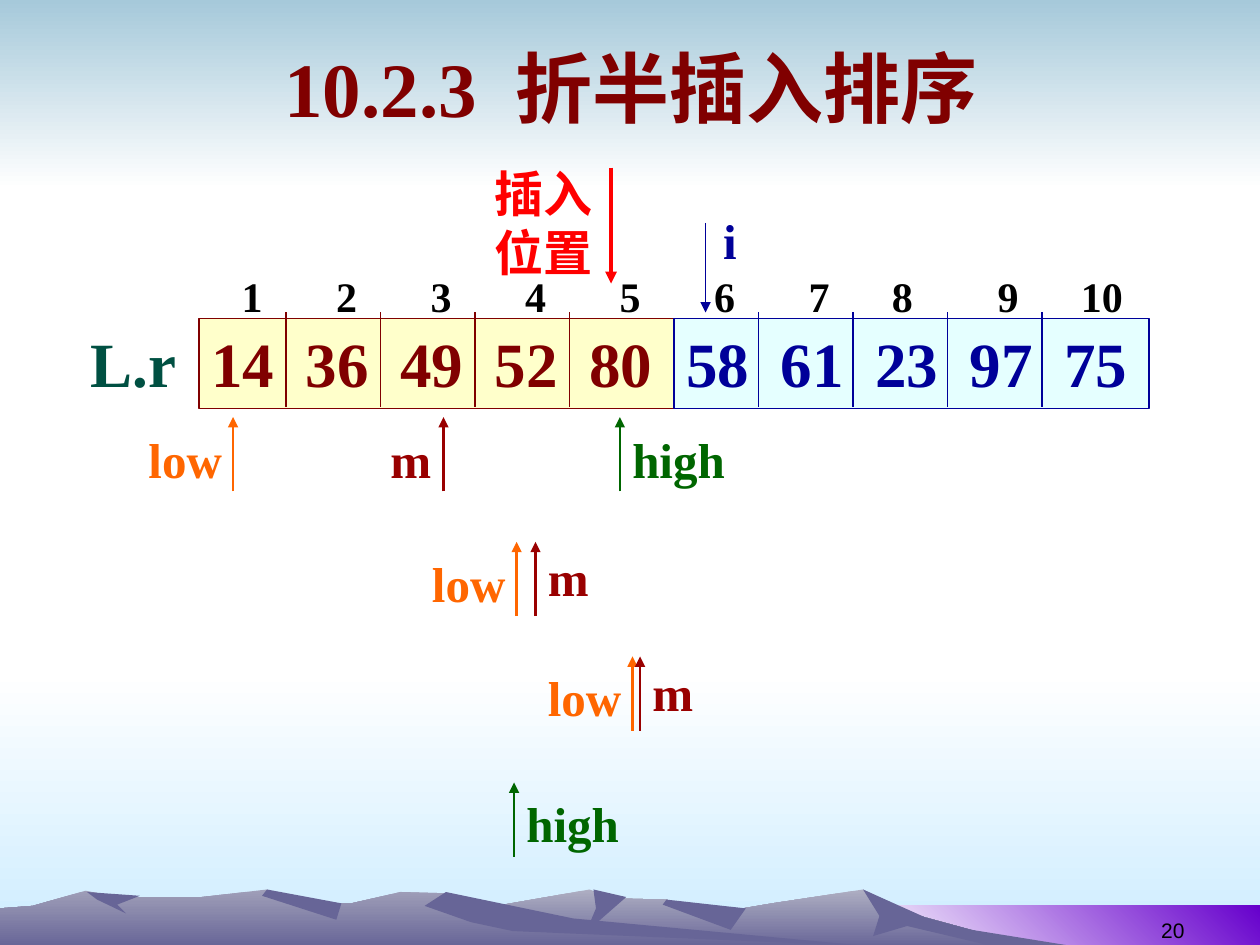
"""Build the slide that walks through binary insertion sort on a ten-element list."""
from dataclasses import dataclass

import lxml.etree
import pptx
import pptx.dml.color
import pptx.enum.shapes
import pptx.enum.text
import pptx.oxml.ns
import pptx.util

PX = 9144
SERIF = "Times New Roman"
NAVY, RED, BLACK, ROCK = "000099", "FF0000", "000000", "676597"
CELL = 75
SHAPE = pptx.enum.shapes.MSO_SHAPE
ALIGN = pptx.enum.text.PP_ALIGN
ANCHOR = pptx.enum.text.MSO_ANCHOR
qn = pptx.oxml.ns.qn


@dataclass
class Band:
    x: int
    y: int
    w: int
    h: int
    start: str
    end: str
    angle: int = 270


@dataclass
class Ridge:
    points: list[tuple[int, int]]
    top: str = ROCK


@dataclass
class Row:
    x: int
    values: list[str]
    fill: str
    color: str
    divider: int


@dataclass
class Mark:
    label: str
    color: str
    width: int


@dataclass
class Pointer:
    mark: Mark
    x: int
    y: int
    on_left: bool = False
    drop: int = 4


LOW, MID, HIGH = Mark("low", "FF6600", 78), Mark("m", "990000", 53), Mark("high", "006600", 94)
BANDS = [
    Band(0, 533, 1000, 217, "FFFFFF", "CCECFF"),
    Band(0, 0, 1000, 150, "A6C9DA", "FFFFFF"),
    Band(683, 719, 317, 33, "FFFFFF", "6600CC", 45),
]
RIDGES = [
    Ridge([(821, 752), (723, 725), (685, 706), (613, 717), (566, 725), (529, 714), (486, 713),
           (468, 706), (394, 719), (327, 731), (258, 752)], "AEAEC2"),
    Ridge([(858, 752), (771, 738), (734, 728), (685, 706), (698, 727), (693, 743), (720, 735),
           (792, 752)]),
    Ridge([(471, 706), (473, 721), (465, 740), (497, 712)]),
    Ridge([(529, 714), (526, 718), (580, 738), (592, 721)]),
    Ridge([(690, 752), (432, 732), (354, 709), (318, 708), (279, 717), (236, 717), (212, 706),
           (160, 712), (94, 712), (68, 707), (26, 719), (0, 721), (0, 752)], "9F9EB8"),
    Ridge([(212, 706), (208, 711), (267, 730), (271, 717)]),
    Ridge([(354, 708), (337, 719), (374, 732), (407, 739), (690, 751), (455, 729)]),
    Ridge([(111, 711), (93, 718), (100, 725), (77, 714), (69, 708)]),
]
ROWS = [
    Row(158, ["14", "36", "49", "52", "80"], "FFFF99", "800000", 227),
    Row(535, ["58", "61", "23", "97", "75"], "CCFFFF", NAVY, 602),
]
POINTERS = [
    Pointer(LOW, 185, 331, True, 5),
    Pointer(MID, 352, 331, True, 5),
    Pointer(HIGH, 492, 331, False, 5),
    Pointer(LOW, 410, 430, True),
    Pointer(MID, 425, 430, drop=0),
    Pointer(LOW, 502, 521, True),
    Pointer(MID, 508, 521, drop=0),
    Pointer(HIGH, 408, 621),
]
ROW_STOPS = [CELL * n for n in range(1, 5)]
INDEX_STOPS = [CELL * n - (9 if n in (7, 9) else 0) for n in range(1, 10)]


def rgb(value: str) -> pptx.dml.color.RGBColor:
    """Turn a hex string into a colour."""
    return pptx.dml.color.RGBColor.from_string(value)


def emu(*lengths: int) -> list[int]:
    """Scale px lengths to EMU."""
    return [n * PX for n in lengths]


def paint(shape, start: str, end: str, angle: int) -> None:
    """Give a shape a borderless two-colour gradient, or a solid when both agree."""
    shape.shadow.inherit = False
    shape.line.fill.background()
    if start == end:
        shape.fill.solid()
        shape.fill.fore_color.rgb = rgb(start)
        return
    shape.fill.gradient()
    shape.fill.gradient_angle = angle
    for stop, color in zip(shape.fill.gradient_stops, (start, end)):
        stop.color.rgb = rgb(color)


def write(tf, lines: list[str], size: int, color: str, bold: bool = True, font: str = SERIF,
          align=ALIGN.LEFT, stops: tuple | list = ()) -> None:
    """Fill a text frame with one style of paragraph."""
    tf.text = "\n".join(lines)
    for p in tf.paragraphs:
        p.alignment = align
        if stops:
            tabs = lxml.etree.SubElement(p._p.get_or_add_pPr(), qn("a:tabLst"))
            for stop in stops:
                lxml.etree.SubElement(tabs, qn("a:tab"), pos=str(stop * PX), algn="l")
        p.font.name, p.font.size, p.font.bold = font, pptx.util.Pt(size), bold
        p.font.color.rgb = rgb(color)


def add_label(s, x: int, y: int, w: int, h: int, lines: list[str], size: int, color: str,
              wrap: bool = False, **style):
    """Add a text box and return its frame."""
    tf = s.shapes.add_textbox(*emu(x, y, w, h)).text_frame
    tf.word_wrap = wrap
    write(tf, lines, size, color, **style)
    return tf


def add_line(s, x: int, y1: int, y2: int, color: str, width: float, arrow: bool = True) -> None:
    """Draw a vertical line, by default with an arrowhead at its end."""
    c = s.shapes.add_connector(pptx.enum.shapes.MSO_CONNECTOR.STRAIGHT, *emu(x, y1, x, y2))
    c.line.color.rgb = rgb(color)
    c.line.width = pptx.util.Pt(width)
    if arrow:
        lxml.etree.SubElement(c.line._get_or_add_ln(), qn("a:tailEnd"), type="triangle")
    lxml.etree.SubElement(c._element.spPr, qn("a:effectLst"))


def add_row(s, row: Row) -> None:
    """Draw half of the list with its dividers."""
    sp = s.shapes.add_shape(SHAPE.RECTANGLE, *emu(row.x, 253, 377, 71))
    sp.shadow.inherit = False
    sp.fill.solid()
    sp.fill.fore_color.rgb = rgb(row.fill)
    clr = sp._element.spPr.find(qn("a:solidFill")).find(qn("a:srgbClr"))
    lxml.etree.SubElement(clr, qn("a:alpha"), val="50000")
    sp.line.color.rgb = rgb(row.color)
    sp.line.width = pptx.util.Pt(0.75)
    sp.text_frame.vertical_anchor = ANCHOR.TOP
    write(sp.text_frame, ["\t".join(row.values)], 36, row.color, stops=ROW_STOPS)
    for n in range(len(row.values) - 1):
        add_line(s, row.divider + CELL * n, 248, 323, row.color, 0.75, arrow=False)


def add_pointer(s, pointer: Pointer) -> None:
    """Draw an upward arrow with its name beside it."""
    mark = pointer.mark
    add_line(s, pointer.x, pointer.y + 59, pointer.y, mark.color, 1.5)
    x = pointer.x + 1 - mark.width if pointer.on_left else pointer.x
    add_label(s, x, pointer.y + pointer.drop, mark.width, 57, [mark.label], 28, mark.color)


def add_scenery(s) -> None:
    """Draw the sky bands and the mountains."""
    for b in BANDS:
        sp = s.shapes.add_shape(SHAPE.RECTANGLE, *emu(b.x, b.y, b.w, b.h))
        paint(sp, b.start, b.end, b.angle)
    for ridge in RIDGES:
        builder = s.shapes.build_freeform(*ridge.points[0], scale=PX)
        builder.add_line_segments(ridge.points[1:], close=True)
        paint(builder.convert_to_shape(), ridge.top, ROCK, 270)


def main() -> None:
    """Build and save the slide."""
    prs = pptx.Presentation()
    prs.slide_width, prs.slide_height = emu(1000, 750)
    s = prs.slides.add_slide(prs.slide_layouts[5])
    add_scenery(s)
    number = add_label(s, 717, 703, 233, 50, ["20"], 12, BLACK, wrap=True, bold=False,
                       font="Arial", align=ALIGN.RIGHT)
    number.vertical_anchor = ANCHOR.BOTTOM
    add_line(s, 485, 133, 225, RED, 2.25)
    add_label(s, 383, 125, 98, 103, ["插入", "位置"], 28, RED)
    for row in ROWS:
        add_row(s, row)
    add_line(s, 560, 177, 248, NAVY, 1)
    add_label(s, 564, 162, 31, 57, ["i"], 28, NAVY)
    add_label(s, 62, 253, 88, 70, ["L.r"], 36, "005042")
    for pointer in POINTERS:
        add_pointer(s, pointer)
    title = s.shapes.title
    title.left, title.top, title.width, title.height = emu(51, 13, 900, 112)
    title.text_frame.vertical_anchor = ANCHOR.MIDDLE
    write(title.text_frame, ["10.2.3  折半插入排序"], 44, "800000", align=ALIGN.CENTER)
    title.element.getparent().append(title.element)
    add_label(s, 182, 210, 753, 50, ["\t".join(str(n) for n in range(1, 11))], 24, BLACK,
              wrap=True, stops=INDEX_STOPS)
    prs.save("out.pptx")


if __name__ == "__main__":
    main()
